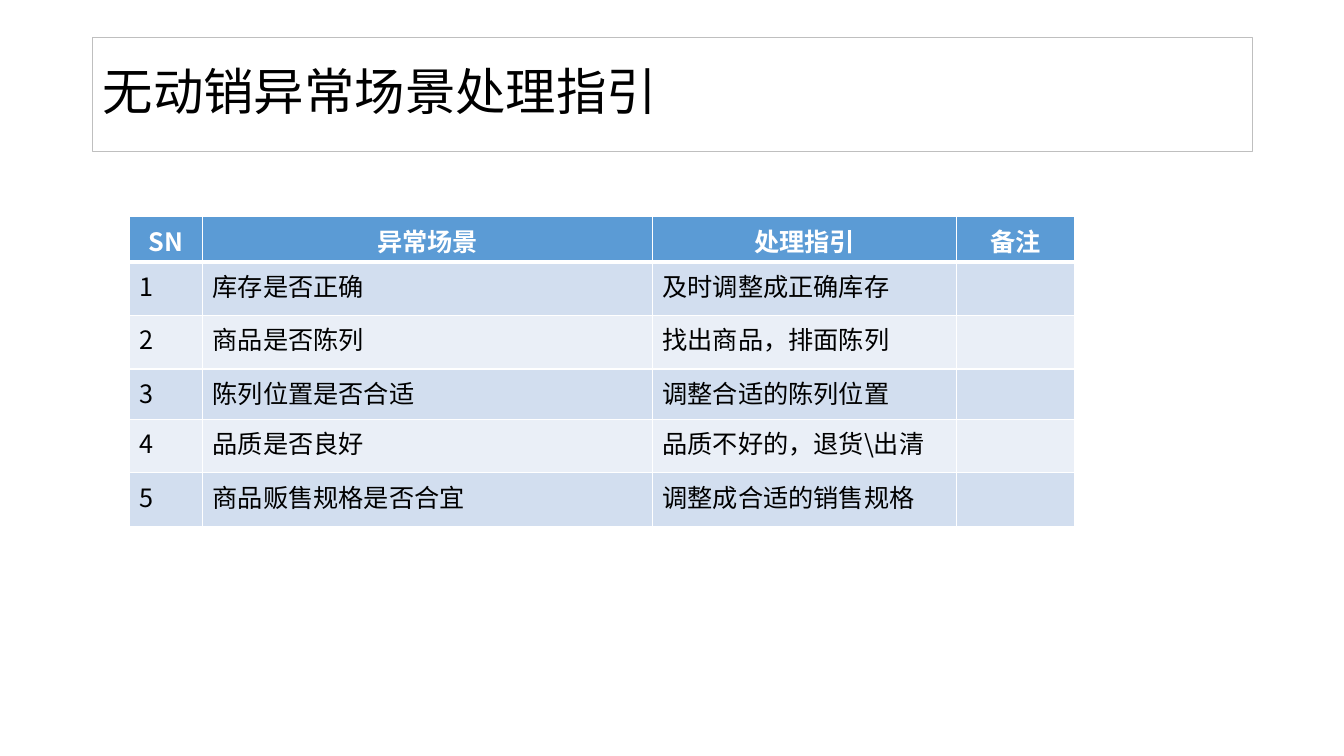
from lxml import etree
from pptx import Presentation
from pptx.dml.color import RGBColor
from pptx.enum.text import MSO_ANCHOR, PP_ALIGN
from pptx.oxml.ns import qn
from pptx.util import Inches, Pt

MIDDLE = MSO_ANCHOR.MIDDLE
CENTER, LEFT = PP_ALIGN.CENTER, PP_ALIGN.LEFT
CJK = "Noto Sans CJK SC"
HEADER_FILL = "5B9BD5"
BAND_FILLS = ("D2DEEF", "EAEFF7")
COL_WIDTHS = (0.73, 4.46, 3.02, 1.17)
ROW_HEIGHTS = (0.45, 0.53, 0.53, 0.5, 0.53, 0.53)
HEADERS = ("SN", "异常场景", "处理指引", "备注")
SCENES = (
    ("库存是否正确", "及时调整成正确库存"),
    ("商品是否陈列", "找出商品，排面陈列"),
    ("陈列位置是否合适", "调整合适的陈列位置"),
    ("品质是否良好", "品质不好的，退货\\出清"),
    ("商品贩售规格是否合宜", "调整成合适的销售规格"),
)


def rgb(value):
    """Turn a hex string into a colour."""
    return RGBColor.from_string(value)


def add_run(p, text, size, color, bold=False, latin=CJK):
    """Add one run with its Latin and East Asian fonts."""
    r = p.add_run()
    r.text = text
    r.font.size = Pt(size)
    r.font.bold = bold
    r.font.color.rgb = rgb(color)
    r.font.name = latin
    etree.SubElement(r._r.get_or_add_rPr(), qn("a:ea"), typeface=CJK)


def set_borders(cell, top, bottom):
    """Draw white borders around a cell, widths in points."""
    tcPr = cell._tc.get_or_add_tcPr()
    widths = {"a:lnL": 1, "a:lnR": 1, "a:lnT": top, "a:lnB": bottom}
    for i, (tag, width) in enumerate(widths.items()):
        ln = etree.Element(qn(tag), w=str(Pt(width)))
        fill = etree.SubElement(ln, qn("a:solidFill"))
        etree.SubElement(fill, qn("a:srgbClr"), val="FFFFFF")
        tcPr.insert(i, ln)


def add_title(s, left, top, width, height):
    """Place the outlined title box."""
    sp = s.shapes.add_textbox(Inches(left), Inches(top), Inches(width), Inches(height))
    sp.line.color.rgb = rgb("BFBFBF")
    sp.line.width = Pt(0.75)
    tf = sp.text_frame
    tf.word_wrap = True
    tf.vertical_anchor = MIDDLE
    p = tf.paragraphs[0]
    p.line_spacing = 0.9
    add_run(p, "无动销异常场景处理指引", 36, "000000")


def add_guide_table(s, left, top):
    """Place the table of scenes and how to handle them."""
    rows = [HEADERS] + [(str(n), *scene, "") for n, scene in enumerate(SCENES, 1)]
    table = s.shapes.add_table(
        len(rows), len(HEADERS), Inches(left), Inches(top),
        Inches(sum(COL_WIDTHS)), Inches(sum(ROW_HEIGHTS))).table
    table.horz_banding = False
    for col, width in zip(table.columns, COL_WIDTHS):
        col.width = Inches(width)
    for i, (row, height) in enumerate(zip(table.rows, ROW_HEIGHTS)):
        row.height = Inches(height)
        header = i == 0
        for cell, text in zip(row.cells, rows[i]):
            cell.fill.solid()
            cell.fill.fore_color.rgb = rgb(HEADER_FILL if header else BAND_FILLS[(i - 1) % 2])
            set_borders(cell, top=3 if i == 1 else 1, bottom=3 if header else 1)
            p = cell.text_frame.paragraphs[0]
            p.alignment = CENTER if header else LEFT
            if text:
                latin = "Calibri" if header and text != "SN" else CJK
                add_run(p, text, 18, "FFFFFF" if header else "000000", header, latin)


def main():
    """Build and save the slide."""
    prs = Presentation()
    prs.slide_width, prs.slide_height = Inches(13.33), Inches(7.5)
    s = prs.slides.add_slide(prs.slide_layouts[6])
    add_title(s, 0.92, 0.37, 11.5, 1.13)
    add_guide_table(s, 1.28, 2.15)
    prs.save("out.pptx")


if __name__ == "__main__":
    main()
